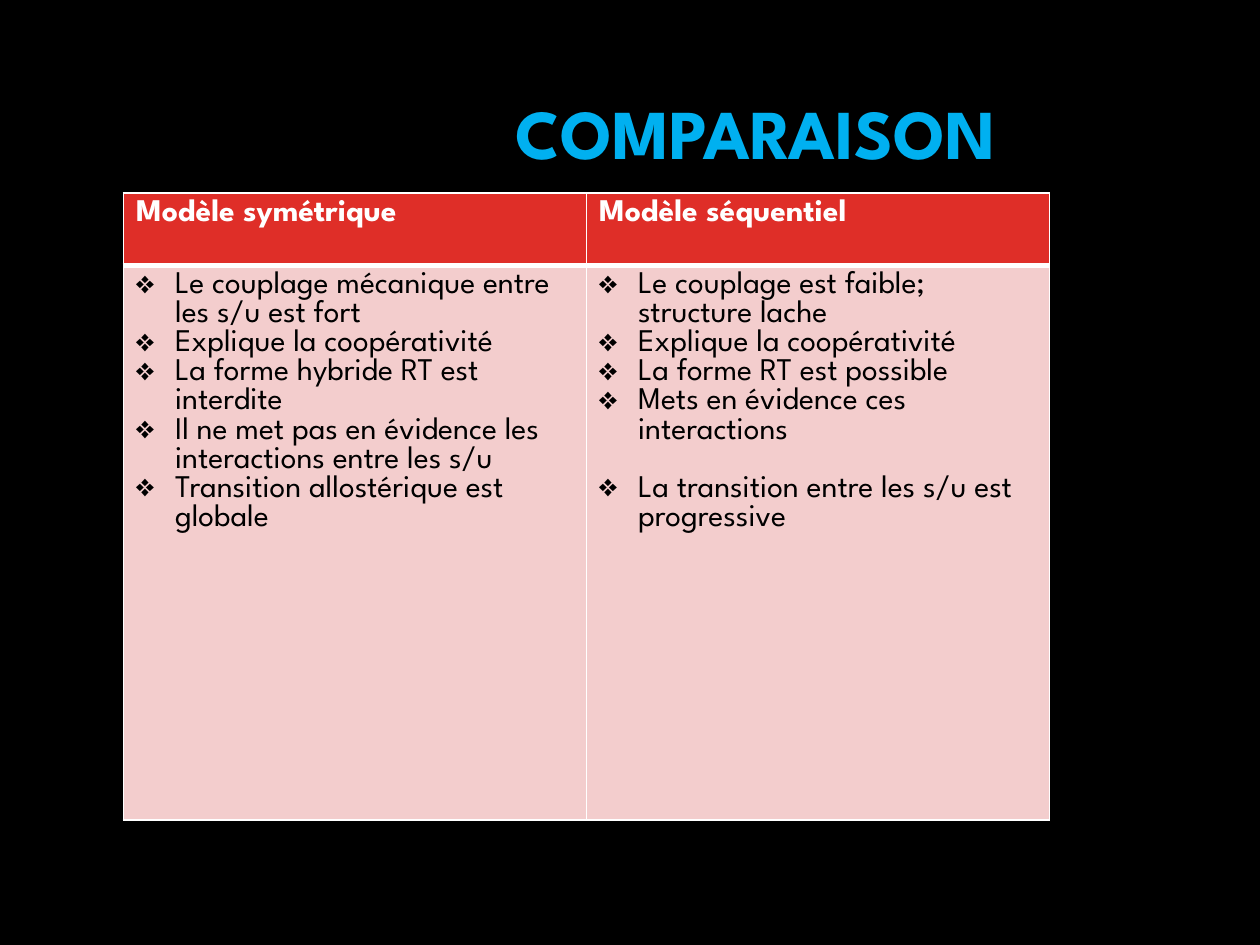
from lxml.etree import SubElement as Sub
from pptx import Presentation
from pptx.dml.color import RGBColor
from pptx.enum.text import MSO_ANCHOR as Anchor, PP_ALIGN as Align
from pptx.oxml.ns import qn
from pptx.util import Inches, Pt

TITLE = "COMPARAISON"
HEADS = ["Modèle symétrique", "Modèle séquentiel"]
POINTS = [
    ["Le couplage mécanique entre les s/u est fort",
     "Explique la coopérativité",
     "La forme hybride RT est interdite",
     "Il ne met pas en évidence les interactions entre les s/u",
     "Transition allostérique est globale"],
    ["Le couplage est faible; structure lache",
     "Explique la coopérativité",
     "La forme RT est possible",
     "Mets en évidence ces interactions",
     "La transition entre les s/u est progressive"],
]


def rgb(value):
    return RGBColor.from_string(value)


class Deck:
    """Holds the style and the current slide, and draws each kind of element."""

    font = "League Spartan"
    white, black, accent = "FFFFFF", "000000", "00B0F0"
    head_fill, body_fill = "DF2E28", "F3CDCD"
    line_pitch = 16.56

    def __init__(self, width, height):
        self.prs = Presentation()
        self.prs.slide_width, self.prs.slide_height = Inches(width), Inches(height)
        self.s = self.prs.slides.add_slide(self.prs.slide_layouts[6])
        fill = self.s.background.fill
        fill.solid()
        fill.fore_color.rgb = rgb(self.black)

    def box(self, x, y, w, h):
        sw, sh = self.prs.slide_width, self.prs.slide_height
        return int(x * sw), int(y * sh), int(w * sw), int(h * sh)

    def style(self, p, size, color, bold):
        f = p.font
        f.name, f.size, f.bold = self.font, Pt(size), bold
        f.color.rgb = rgb(color)

    def title(self, text, *area):
        tf = self.s.shapes.add_textbox(*self.box(*area)).text_frame
        tf.word_wrap, tf.vertical_anchor = True, Anchor.MIDDLE
        p = tf.paragraphs[0]
        p.text, p.alignment, p.line_spacing = text, Align.RIGHT, 0.9
        self.style(p, 40, self.accent, True)

    def bullet(self, p):
        pPr = p._p.get_or_add_pPr()
        indent = Inches(0.31)
        pPr.set("marL", str(indent))
        pPr.set("indent", str(-indent))
        Sub(pPr, qn("a:buChar"), char="❖")

    def cell(self, cell, fill, top, bottom):
        tcPr = cell._tc.get_or_add_tcPr()
        for side, width in zip("LRTB", (1, 1, top, bottom)):
            ln = Sub(tcPr, qn(f"a:ln{side}"), w=str(Pt(width)))
            Sub(Sub(ln, qn("a:solidFill")), qn("a:srgbClr"), val=self.white)
        cell.fill.solid()
        cell.fill.fore_color.rgb = rgb(fill)

    def comparison(self, heads, points, gaps, head_share, *area):
        x, y, w, h = self.box(*area)
        table = self.s.shapes.add_table(2, len(heads), x, y, w, h).table
        table.rows[0].height = int(h * head_share)
        table.rows[1].height = h - table.rows[0].height
        for col, (head, items) in enumerate(zip(heads, points)):
            top, body = table.cell(0, col), table.cell(1, col)
            self.cell(top, self.head_fill, 1, 3)
            self.cell(body, self.body_fill, 3, 1)
            top.text = head
            self.style(top.text_frame.paragraphs[0], 18, self.white, True)
            body.text = "\n".join(items)
            for row, p in enumerate(body.text_frame.paragraphs):
                if (col, row) in gaps:
                    p.space_before = Pt(self.line_pitch)
                self.bullet(p)
                self.style(p, 18, self.black, False)


def main():
    deck = Deck(10, 7.5)
    deck.title(TITLE, 0.02, 0.05, 0.78, 0.19)
    deck.comparison(HEADS, POINTS, {(1, 4)}, 0.116, 0.098, 0.204, 0.735, 0.664)
    deck.prs.save("out.pptx")


if __name__ == "__main__":
    main()
